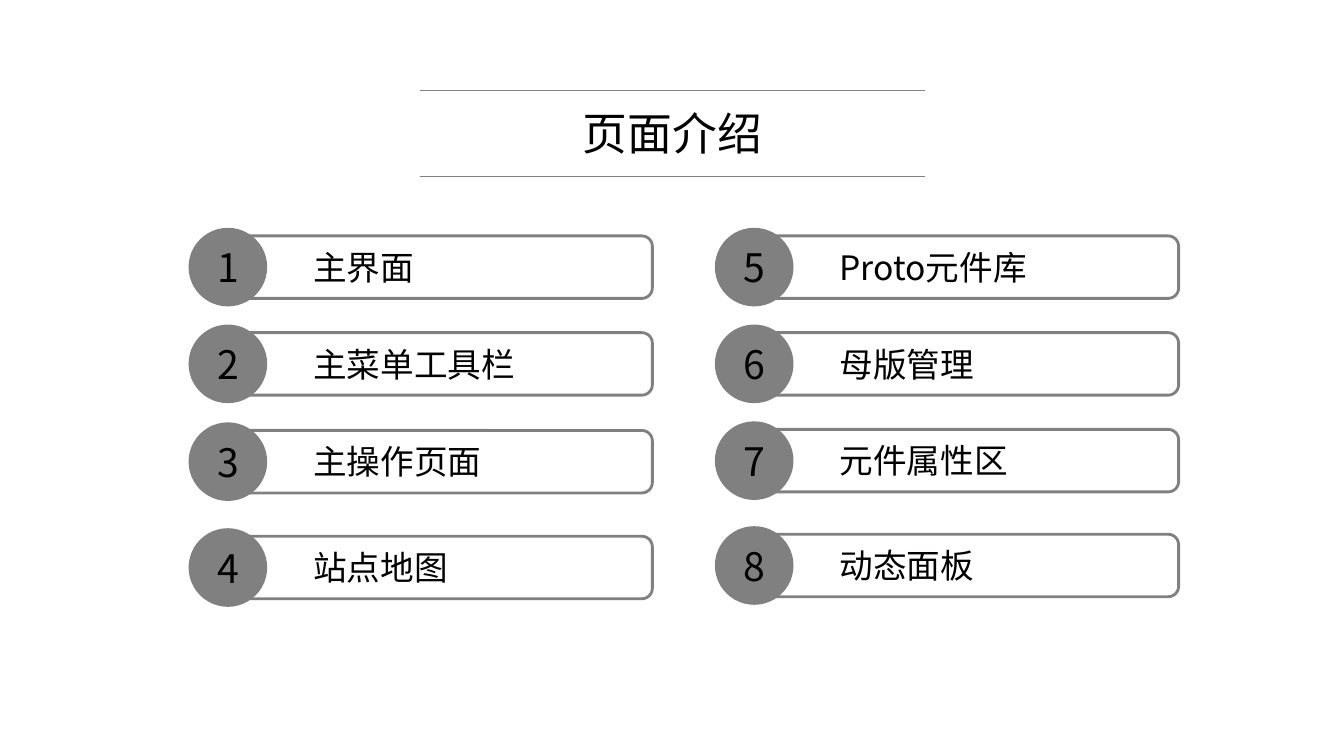
"""Build the page introduction slide with eight numbered entries."""
from dataclasses import dataclass

from lxml.etree import SubElement as Sub
from pptx import Presentation
from pptx.dml.color import RGBColor as RGB
from pptx.enum.shapes import MSO_CONNECTOR as Link, MSO_SHAPE as Kind
from pptx.enum.text import MSO_ANCHOR as Anchor, MSO_AUTO_SIZE as Auto, PP_ALIGN as Align
from pptx.oxml.ns import qn
from pptx.shapes.autoshape import Shape
from pptx.shapes.shapetree import GroupShapes as Group, SlideShapes as Tree
from pptx.text.text import TextFrame as Frame
from pptx.util import Inches, Pt

COLORS = {"gray": "808080", "ink": "000000"}
FONT = "Noto Sans CJK SC"
LEFTS = (1.87, 7.09)
DISC = 0.78


@dataclass
class Entry:
    text: str
    col: int
    top: float
    width: float


ENTRIES = [
    Entry("主界面", 0, 2.26, 1.21),
    Entry("主菜单工具栏", 0, 3.22, 2.22),
    Entry("主操作页面", 0, 4.19, 1.88),
    Entry("站点地图", 0, 5.24, 1.55),
    Entry("Proto元件库", 1, 2.26, 2.18),
    Entry("母版管理", 1, 3.22, 1.55),
    Entry("元件属性区", 1, 4.18, 1.88),
    Entry("动态面板", 1, 5.22, 1.55),
]


def tint(name: str) -> RGB:
    return RGB.from_string(COLORS[name])


def write(frame: Frame, text: str, size: int, align: Align) -> None:
    frame.text = text
    par = frame.paragraphs[0]
    par.alignment = align
    for run in par.runs:
        font = run.font
        font.size = Pt(size)
        font.color.rgb = tint("ink")
        font.name = FONT
        Sub(run._r.get_or_add_rPr(), qn("a:ea"), typeface=FONT)


def label(shapes: Tree | Group, text: str, left: float, top: float,
          width: float, height: float, size: int, align: Align) -> None:
    box = shapes.add_textbox(*map(Inches, (left, top, width, height)))
    frame = box.text_frame
    frame.word_wrap = False
    frame.auto_size = Auto.SHAPE_TO_FIT_TEXT
    write(frame, text, size, align)


def rule(shapes: Group, top: float) -> None:
    line = shapes.add_connector(Link.STRAIGHT, *map(Inches, (4.17, top, 9.17, top)))
    line.line.color.rgb = tint("gray")
    line.line.width = Pt(0.75)
    Sub(line._element.spPr, qn("a:effectLst"))


def solid(shapes: Group, kind: Kind, left: float, top: float,
          width: float, height: float) -> Shape:
    shape = shapes.add_shape(kind, *map(Inches, (left, top, width, height)))
    shape.shadow.inherit = False
    return shape


def draw(shapes: Group, num: int, entry: Entry) -> None:
    left, top = LEFTS[entry.col], entry.top
    bar = solid(shapes, Kind.ROUNDED_RECTANGLE, left + 0.42, top + 0.08, 4.18, 0.62)
    bar.fill.background()
    bar.line.color.rgb = tint("gray")
    bar.line.width = Pt(2)
    disc = solid(shapes, Kind.OVAL, left, top, DISC, DISC)
    disc.fill.solid()
    disc.fill.fore_color.rgb = tint("gray")
    disc.line.fill.background()
    disc.text_frame.vertical_anchor = Anchor.MIDDLE
    write(disc.text_frame, str(num), 28, Align.CENTER)
    label(shapes, entry.text, left + 1.14, top + 0.14, entry.width, 0.5, 24, Align.LEFT)


def main() -> None:
    deck = Presentation()
    deck.slide_width, deck.slide_height = Inches(13.33), Inches(7.5)
    shapes = deck.slides.add_slide(deck.slide_layouts[6]).shapes
    label(shapes, "页面介绍", 5.67, 1, 2, 0.64, 32, Align.CENTER)
    rules = shapes.add_group_shape().shapes
    for top in (0.9, 1.75):
        rule(rules, top)
    for num, entry in enumerate(ENTRIES, 1):
        draw(shapes.add_group_shape().shapes, num, entry)
    deck.save("out.pptx")


if __name__ == "__main__":
    main()
